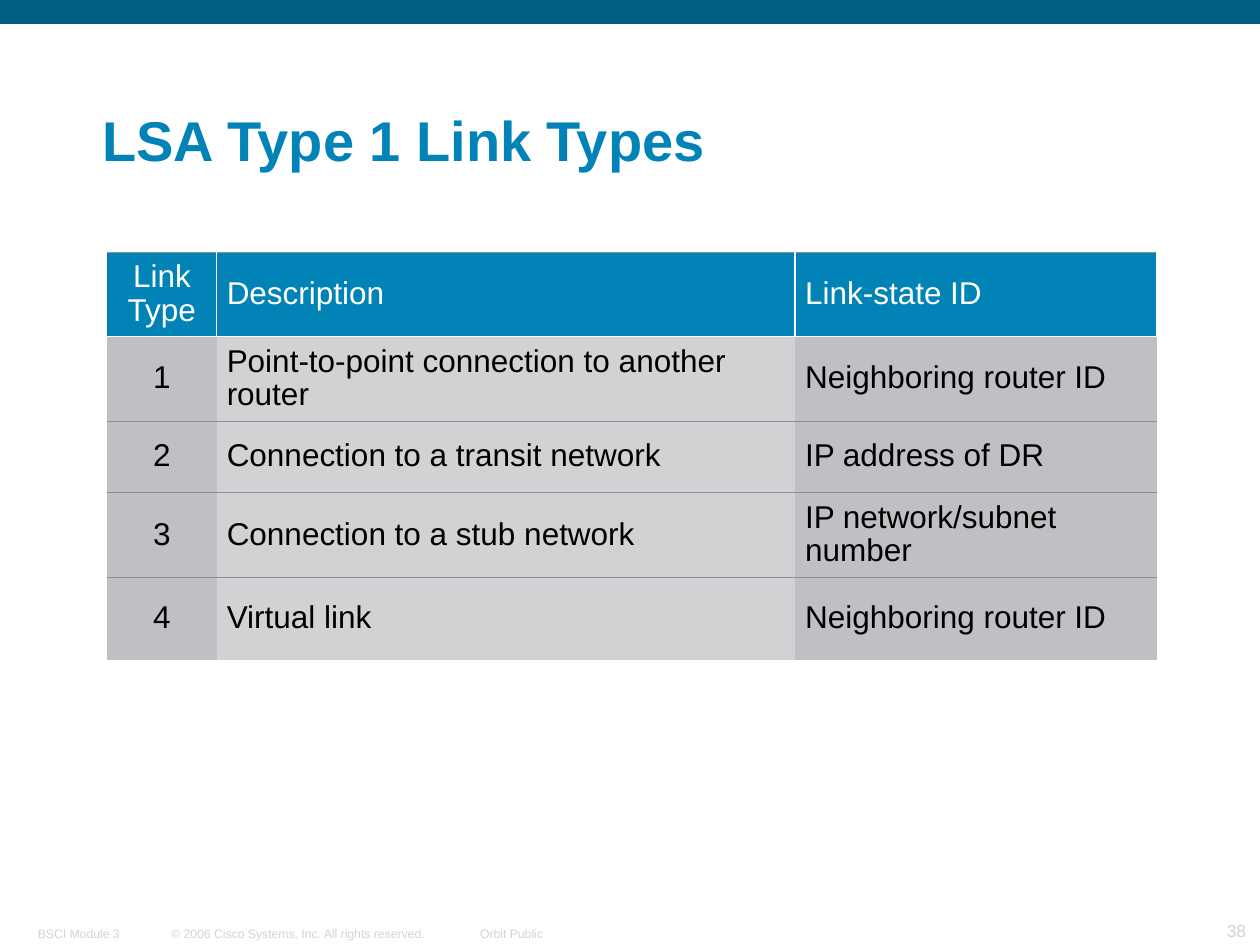
import pptx
import pptx.util
import pptx.dml.color
import pptx.enum.shapes
import pptx.enum.text
import pptx.oxml.ns
import lxml.etree

Inches = pptx.util.Inches
Align = pptx.enum.text.PP_ALIGN
Anchor = pptx.enum.text.MSO_ANCHOR


def color(value):
    return pptx.dml.color.RGBColor.from_string(value)


def apply(target, values):
    for name, value in values.items():
        setattr(target, name, value)


class SlideBuilder:
    font = "Arial"
    blue, dark_blue, white, black = "0183B7", "015F85", "FFFFFF", "000000"
    pale, side_fill, middle_fill, rule = "D3D3D3", "C0C0C4", "D2D2D4", "8E8E95"

    def __init__(self, deck):
        self.page = deck.slides.add_slide(deck.slide_layouts[6])

    def add_span(self, para, text, size, fill, align, spacing=1.0, bold=False):
        apply(para, {"alignment": align, "line_spacing": spacing})
        span = para.add_run()
        span.text = text
        apply(span.font, {"name": self.font, "size": pptx.util.Pt(size), "bold": bold})
        span.font.color.rgb = color(fill)

    def bar(self, area, fill):
        shape = self.page.shapes.add_shape(
            pptx.enum.shapes.MSO_SHAPE.RECTANGLE, *map(Inches, area))
        shape.shadow.inherit = False
        shape.fill.solid()
        shape.fill.fore_color.rgb = color(fill)
        shape.line.fill.background()

    def text(self, area, text, size, fill, align=Align.LEFT, wrap=True, **style):
        box = self.page.shapes.add_textbox(*map(Inches, area))
        apply(box.text_frame, {
            "word_wrap": wrap, "vertical_anchor": Anchor.BOTTOM,
            "margin_left": Inches(0.09), "margin_right": Inches(0.09),
            "margin_top": Inches(0.04), "margin_bottom": Inches(0.04)})
        self.add_span(box.text_frame.paragraphs[0], text, size, fill, align, **style)

    def border(self, cell, side, line):
        properties = cell._tc.get_or_add_tcPr()
        edge = lxml.etree.SubElement(properties, pptx.oxml.ns.qn(f"a:ln{side}"))
        if line is None:
            lxml.etree.SubElement(edge, pptx.oxml.ns.qn("a:noFill"))
            return
        fill, width = line
        edge.set("w", str(int(pptx.util.Pt(width))))
        solid = lxml.etree.SubElement(edge, pptx.oxml.ns.qn("a:solidFill"))
        lxml.etree.SubElement(solid, pptx.oxml.ns.qn("a:srgbClr")).set("val", fill)

    def cell_borders(self, row, column, last_row):
        strong, thin = (self.white, 0.75), (self.rule, 0.45)
        if row == 0:
            return {"L": strong if column else None, "R": strong, "T": thin, "B": strong}
        bottom = (self.white, 0.45) if row == last_row else thin
        return {"L": None, "R": None, "T": strong if row == 1 else thin, "B": bottom}

    def table(self, left, top, widths, heights, rows):
        table = self.page.shapes.add_table(
            len(rows), len(widths), Inches(left), Inches(top),
            Inches(sum(widths)), Inches(sum(heights))).table
        apply(table, {"first_row": False, "horz_banding": False})
        for column, width in zip(table.columns, widths):
            column.width = Inches(width)
        for line, height in zip(table.rows, heights):
            line.height = Inches(height)
        for row, values in enumerate(rows):
            for column, value in enumerate(values):
                cell = table.cell(row, column)
                apply(cell, {
                    "vertical_anchor": Anchor.MIDDLE,
                    "margin_left": Inches(0.08), "margin_right": Inches(0.08),
                    "margin_top": Inches(0.05), "margin_bottom": Inches(0.05)})
                borders = self.cell_borders(row, column, len(rows) - 1)
                for side, line in borders.items():
                    self.border(cell, side, line)
                body_fill = self.middle_fill if column == 1 else self.side_fill
                cell.fill.solid()
                cell.fill.fore_color.rgb = color(body_fill if row else self.blue)
                self.add_span(cell.text_frame.paragraphs[0], value, 18,
                              self.black if row else self.white,
                              Align.LEFT if column else Align.CENTER, spacing=0.95)


def main():
    deck = pptx.Presentation()
    apply(deck, {"slide_width": Inches(10), "slide_height": Inches(7.5)})
    builder = SlideBuilder(deck)

    builder.bar((0, 0, 10, 0.19), builder.dark_blue)
    footers = [
        (0.21, 1.05, "BSCI Module 3"),
        (1.27, 2.2, "© 2006 Cisco Systems, Inc. All rights reserved."),
        (3.72, 0.71, "Orbit Public"),
    ]
    for left, width, label in footers:
        builder.text((left, 7.3, width, 0.21), label, 7, builder.pale, wrap=False)
    builder.text((9.17, 7.25, 0.81, 0.26), "38", 10, builder.pale, Align.RIGHT)
    builder.text((0.72, 0.5, 8.91, 0.92), "LSA Type 1 Link Types", 32, builder.blue,
                 spacing=0.9, bold=True)
    builder.table(0.85, 2, [0.87, 4.59, 2.87], [0.65, 0.66, 0.57, 0.65, 0.66], [
        ("Link Type", "Description", "Link-state ID"),
        ("1", "Point-to-point connection to another router", "Neighboring router ID"),
        ("2", "Connection to a transit network", "IP address of DR"),
        ("3", "Connection to a stub network", "IP network/subnet number"),
        ("4", "Virtual link", "Neighboring router ID"),
    ])
    deck.save("out.pptx")


if __name__ == "__main__":
    main()
